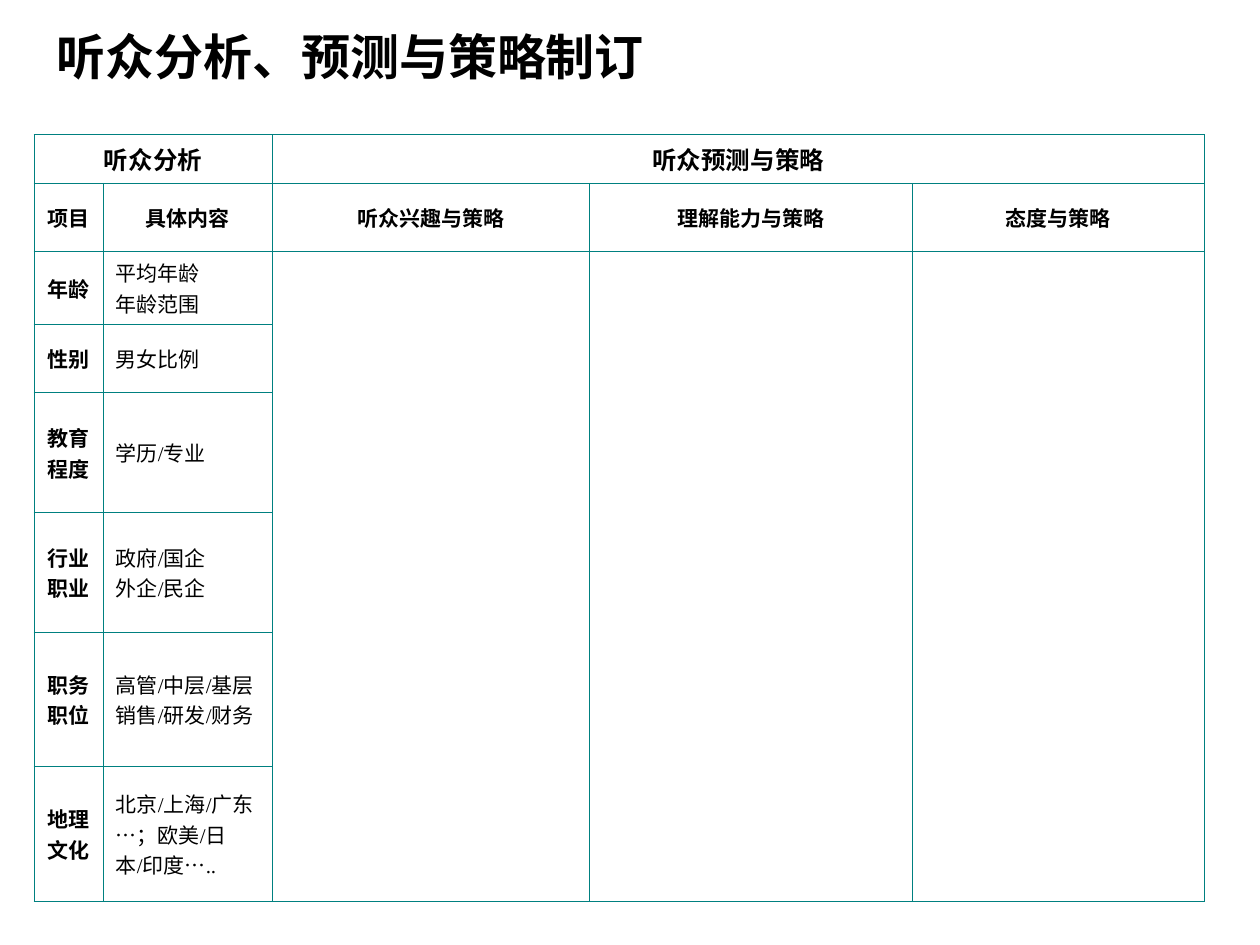
from lxml.etree import SubElement
from pptx import Presentation
from pptx.dml.color import RGBColor
from pptx.enum.text import MSO_ANCHOR, MSO_AUTO_SIZE, PP_ALIGN
from pptx.oxml.ns import qn
from pptx.util import Inches, Pt

BLACK = RGBColor(0, 0, 0)
TEAL = RGBColor(0, 0x80, 0x80)

COLUMN_WIDTHS = [0.55, 1.34, 2.52, 2.56, 2.32]
ROW_HEIGHTS = [0.34] + [0.54] * 3 + [0.95] * 4
GROUPS = [(0, 1, "听众分析"), (2, 4, "听众预测与策略")]
HEADINGS = ["项目", "具体内容", "听众兴趣与策略", "理解能力与策略", "态度与策略"]
AUDIENCE = [
    ("年龄", "平均年龄\n年龄范围"),
    ("性别", "男女比例"),
    ("教育\n程度", "学历/专业"),
    ("行业\n职业", "政府/国企\n外企/民企"),
    ("职务\n职位", "高管/中层/基层\n销售/研发/财务"),
    ("地理\n文化", "北京/上海/广东\n…；欧美/日本/印度….."),
]


def write_text(frame, text, *, size=12, font="Times New Roman", bold=True,
               align=PP_ALIGN.CENTER, color=BLACK):
    """Fill a text frame, one paragraph for each line of text."""
    for index, line in enumerate(text.split("\n")):
        paragraph = frame.add_paragraph() if index else frame.paragraphs[0]
        paragraph.alignment = align
        run = paragraph.add_run()
        run.text = line
        run.font.size = Pt(size)
        run.font.name = font
        run.font.bold = bold
        run.font.color.rgb = color


class SlideBuilder:
    def __init__(self, slide, border_color=TEAL, border_width=0.45):
        self.slide = slide
        self.border_color = border_color
        self.border_width = border_width

    def title(self, text, left, top, width, height):
        title = self.slide.shapes.title
        title.left, title.top = Inches(left), Inches(top)
        title.width, title.height = Inches(width), Inches(height)
        frame = title.text_frame
        frame.auto_size = MSO_AUTO_SIZE.NONE
        frame.vertical_anchor = MSO_ANCHOR.MIDDLE
        write_text(frame, text, size=28, font="Arial", align=PP_ALIGN.LEFT)

    def border(self, cell):
        properties = cell._tc.get_or_add_tcPr()
        for position, side in enumerate(("a:lnL", "a:lnR", "a:lnT", "a:lnB")):
            line = SubElement(properties, qn(side), w=str(Pt(self.border_width)))
            properties.insert(position, line)
            fill = SubElement(line, qn("a:solidFill"))
            SubElement(fill, qn("a:srgbClr"), val=str(self.border_color))

    def table(self, left, top, widths, heights):
        table = self.slide.shapes.add_table(
            len(heights), len(widths), Inches(left), Inches(top),
            Inches(sum(widths)), Inches(sum(heights))).table
        table.first_row = table.horz_banding = False
        for column, width in zip(table.columns, widths):
            column.width = Inches(width)
        for row, height in zip(table.rows, heights):
            row.height = Inches(height)
        for cell in table.iter_cells():
            cell.fill.background()
            cell.vertical_anchor = MSO_ANCHOR.MIDDLE
            self.border(cell)
        return table


def main():
    presentation = Presentation()
    presentation.slide_width, presentation.slide_height = Inches(10), Inches(7.5)
    builder = SlideBuilder(
        presentation.slides.add_slide(presentation.slide_layouts[5]))
    builder.title("听众分析、预测与策略制订", 0.35, 0.13, 7.33, 0.63)

    table = builder.table(0.27, 1.07, COLUMN_WIDTHS, ROW_HEIGHTS)
    for first, last, group in GROUPS:
        group_cell = table.cell(0, first)
        group_cell.merge(table.cell(0, last))
        group_cell.vertical_anchor = MSO_ANCHOR.TOP
        write_text(group_cell.text_frame, group, size=14)
    for column, heading in enumerate(HEADINGS):
        write_text(table.cell(1, column).text_frame, heading)
    for row, (item, details) in enumerate(AUDIENCE, start=2):
        write_text(table.cell(row, 0).text_frame, item)
        write_text(table.cell(row, 1).text_frame, details,
                   bold=False, align=PP_ALIGN.LEFT)
    last_row = len(ROW_HEIGHTS) - 1
    for column in range(2, len(COLUMN_WIDTHS)):
        table.cell(2, column).merge(table.cell(last_row, column))

    presentation.save("out.pptx")


if __name__ == "__main__":
    main()
